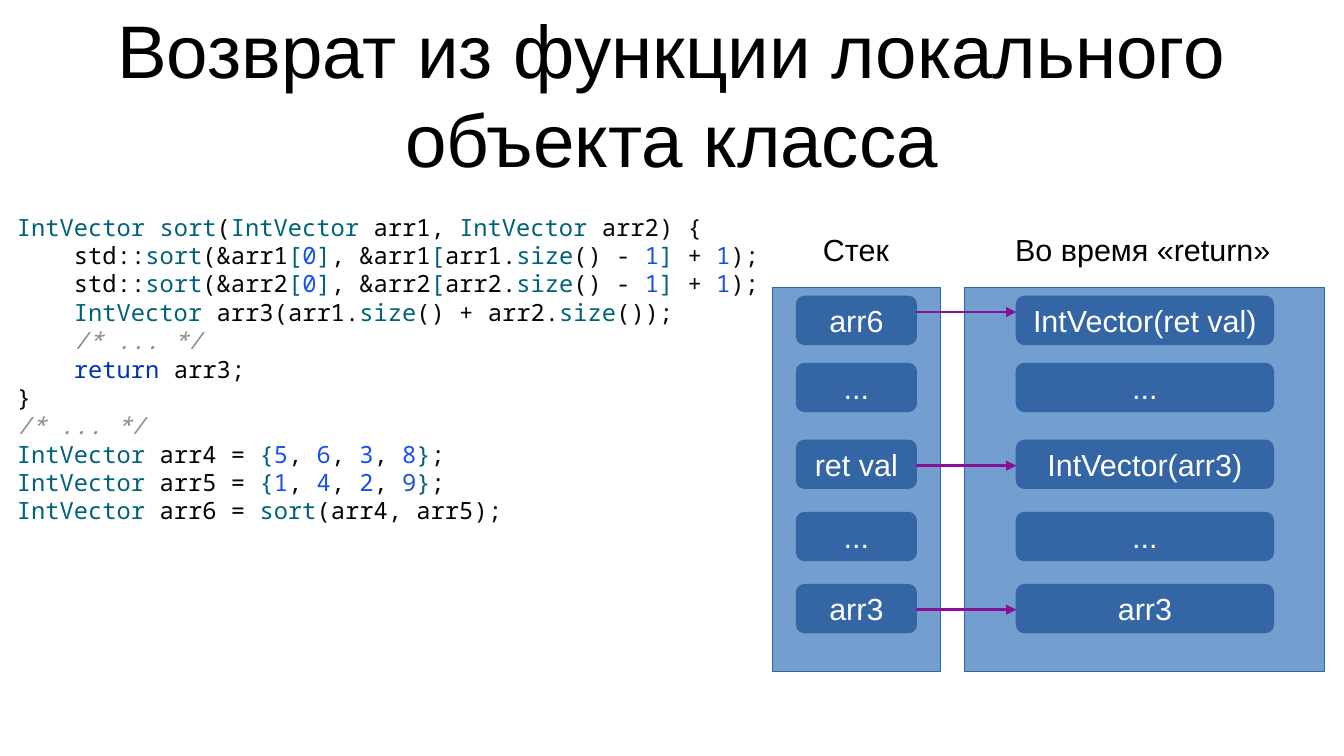
from dataclasses import dataclass
from itertools import groupby

from lxml import etree
from pptx import Presentation
from pptx.dml.color import RGBColor
from pptx.enum.shapes import MSO_CONNECTOR, MSO_SHAPE
from pptx.enum.text import MSO_ANCHOR, MSO_AUTO_SIZE, PP_ALIGN
from pptx.oxml.ns import qn
from pptx.shapes.autoshape import Shape
from pptx.slide import Slide
from pptx.text.text import Font
from pptx.util import Pt

RECTANGLE, ROUNDED = MSO_SHAPE.RECTANGLE, MSO_SHAPE.ROUNDED_RECTANGLE
STRAIGHT = MSO_CONNECTOR.STRAIGHT
CENTER, MIDDLE = PP_ALIGN.CENTER, MSO_ANCHOR.MIDDLE
NO_AUTOFIT = MSO_AUTO_SIZE.NONE

COLORS = {
    "text": "000000", "cell_text": "FFFFFF", "panel": "729FCF",
    "cell": "3465A4", "arrow": "871094", "type": "00627A",
    "number": "1750EB", "keyword": "0033B3", "comment": "8C8C8C",
    "punctuation": "080808",
}
TEXT_FONT, CODE_FONT = "Arial", "Noto Sans Mono"
TITLE = "Возврат из функции локального объекта класса"
CODE = """IntVector sort(IntVector arr1, IntVector arr2) {
    std::sort(&arr1[0], &arr1[arr1.size() - 1] + 1);
    std::sort(&arr2[0], &arr2[arr2.size() - 1] + 1);
    IntVector arr3(arr1.size() + arr2.size());
    /* ... */
    return arr3;
}
/* ... */
IntVector arr4 = {5, 6, 3, 8};
IntVector arr5 = {1, 4, 2, 9};
IntVector arr6 = sort(arr4, arr5);"""
TYPES_AND_FUNCTIONS = ("IntVector", "sort", "size")


@dataclass(frozen=True)
class StackPanel:
    heading: str
    heading_left: float
    heading_width: float
    left: float
    width: float
    cell_left: float
    cell_width: float
    cells: tuple[str, ...]


PANELS = (
    StackPanel("Стек", 478.8, 53.3, 456, 99.4, 470.2, 70.8,
               ("arr6", "...", "ret val", "...", "arr3")),
    StackPanel("Во время «return»", 592.2, 165, 569.4, 212.4, 600, 151.8,
               ("IntVector(ret val)", "...", "IntVector(arr3)", "...", "arr3")),
)
PANEL_TOP, PANEL_HEIGHT = 169.9, 226.8
CELL_TOPS, CELL_HEIGHT = (175, 214.6, 260, 302.6, 345.2), 28.4
HEADING_TOP, HEADING_HEIGHT = 132.8, 27.4
ARROW_LEVELS = (184.3, 275, 360)


def rgb(role: str) -> RGBColor:
    return RGBColor.from_string(COLORS[role])


def style_font(font: Font, name: str, size: float, role: str) -> None:
    font.name, font.size = name, Pt(size)
    font.color.rgb = rgb(role)


def add_title(slide: Slide) -> None:
    title = slide.shapes.title
    title.left, title.top = Pt(39.6), Pt(5.8)
    title.width, title.height = Pt(714.2), Pt(98.6)
    frame = title.text_frame
    frame.text = TITLE
    frame.auto_size, frame.vertical_anchor = NO_AUTOFIT, MIDDLE
    frame.margin_left = frame.margin_right = Pt(0)
    frame.margin_top = frame.margin_bottom = Pt(0)
    frame.paragraphs[0].alignment = CENTER
    style_font(frame.paragraphs[0].runs[0].font, TEXT_FONT, 44, "text")


def code_role(character: str, line: str) -> str:
    """Classify one character; braces count as type only in an initializer."""
    if line.lstrip().startswith("/*"):
        return "comment"
    if character.isalnum():
        return "word"
    if character in "[]" or (character in "{}" and "=" in line):
        return "type"
    return "punctuation"


def word_role(word: str) -> str:
    if word in TYPES_AND_FUNCTIONS:
        return "type"
    if word == "return":
        return "keyword"
    return "number" if word.isdigit() else "text"


def add_code(slide: Slide) -> None:
    frame = slide.shapes.add_textbox(Pt(2.9), Pt(122), Pt(470), Pt(300)).text_frame
    frame.word_wrap = True
    for index, line in enumerate(CODE.splitlines()):
        paragraph = frame.add_paragraph() if index else frame.paragraphs[0]
        paragraph.line_spacing = Pt(16.76)
        for role, characters in groupby(line, lambda char: code_role(char, line)):
            run = paragraph.add_run()
            run.text = "".join(characters)
            color_role = word_role(run.text) if role == "word" else role
            style_font(run.font, CODE_FONT, 14, color_role)
            run.font.italic = role == "comment"


def add_block(slide: Slide, kind: MSO_SHAPE, left: float, top: float,
              width: float, height: float, fill_role: str) -> Shape:
    block = slide.shapes.add_shape(kind, Pt(left), Pt(top), Pt(width), Pt(height))
    block.shadow.inherit = False
    block.fill.solid()
    block.fill.fore_color.rgb = rgb(fill_role)
    block.line.color.rgb = rgb("cell")
    block.line.width = Pt(0)
    return block


def add_panel(slide: Slide, panel: StackPanel) -> None:
    add_block(slide, RECTANGLE, panel.left, PANEL_TOP, panel.width, PANEL_HEIGHT, "panel")
    for label, top in zip(panel.cells, CELL_TOPS):
        cell = add_block(slide, ROUNDED, panel.cell_left, top,
                         panel.cell_width, CELL_HEIGHT, "cell")
        frame = cell.text_frame
        frame.text = label
        frame.vertical_anchor = MIDDLE
        frame.paragraphs[0].alignment = CENTER
        style_font(frame.paragraphs[0].runs[0].font, TEXT_FONT, 18, "cell_text")


def add_heading(slide: Slide, panel: StackPanel) -> None:
    heading = slide.shapes.add_textbox(Pt(panel.heading_left), Pt(HEADING_TOP),
                                       Pt(panel.heading_width), Pt(HEADING_HEIGHT))
    frame = heading.text_frame
    frame.text = panel.heading
    frame.word_wrap = False
    style_font(frame.paragraphs[0].runs[0].font, TEXT_FONT, 18, "text")


def add_arrow(slide: Slide, start: float, end: float, level: float) -> None:
    arrow = slide.shapes.add_connector(STRAIGHT, Pt(start), Pt(level), Pt(end), Pt(level))
    arrow.line.color.rgb = rgb("arrow")
    arrow.line.width = Pt(1.5)
    etree.SubElement(arrow.line._get_or_add_ln(), qn("a:tailEnd"), type="triangle")
    etree.SubElement(arrow._element.spPr, qn("a:effectLst"))


def main() -> None:
    presentation = Presentation()
    presentation.slide_width, presentation.slide_height = Pt(793.44), Pt(446.4)
    slide = presentation.slides.add_slide(presentation.slide_layouts[5])
    add_title(slide)
    add_code(slide)
    for panel in PANELS:
        add_panel(slide, panel)
        add_heading(slide, panel)
    stack, during_return = PANELS
    for level in ARROW_LEVELS:
        add_arrow(slide, stack.cell_left + stack.cell_width,
                  during_return.cell_left, level)
    presentation.save("out.pptx")


if __name__ == "__main__":
    main()
